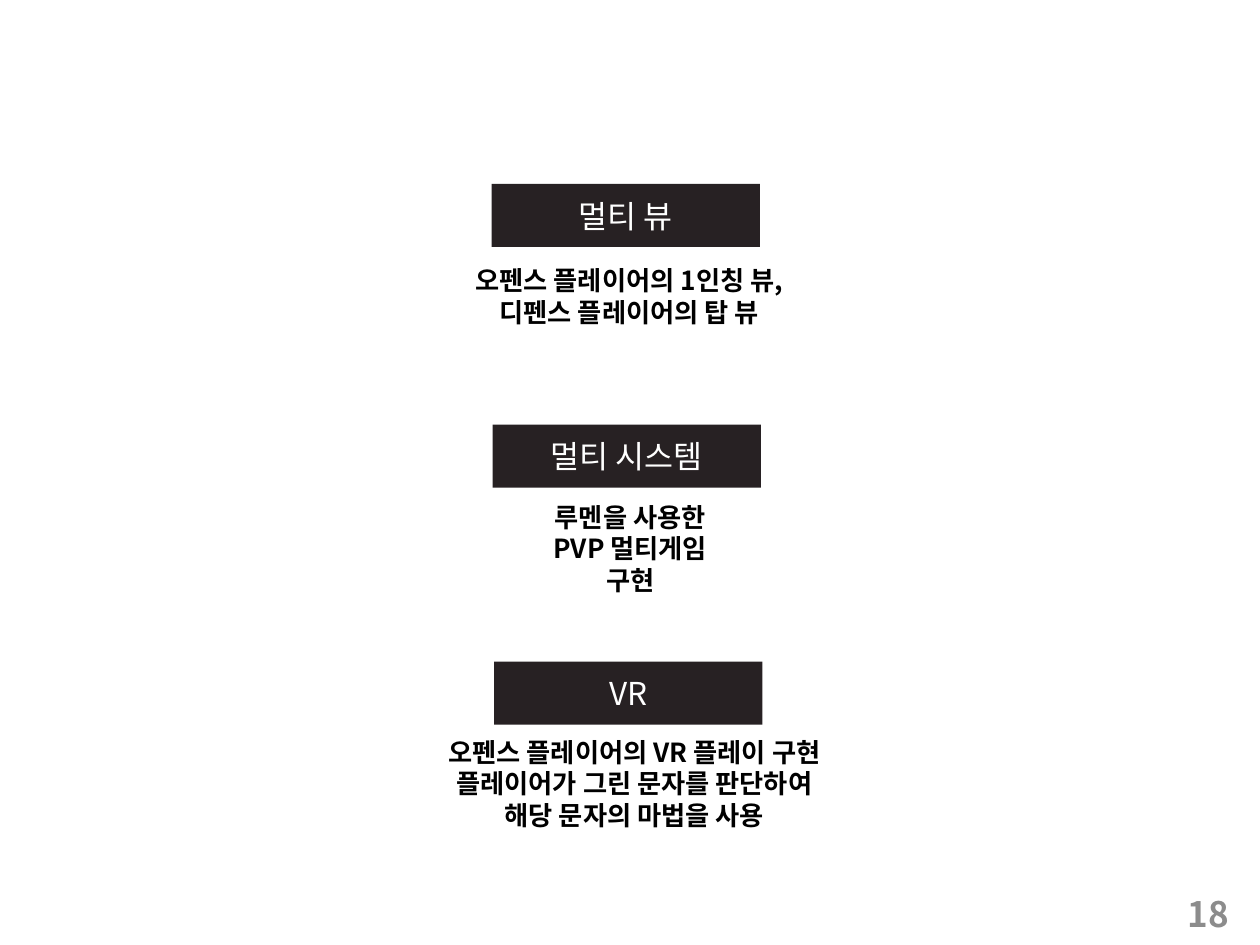
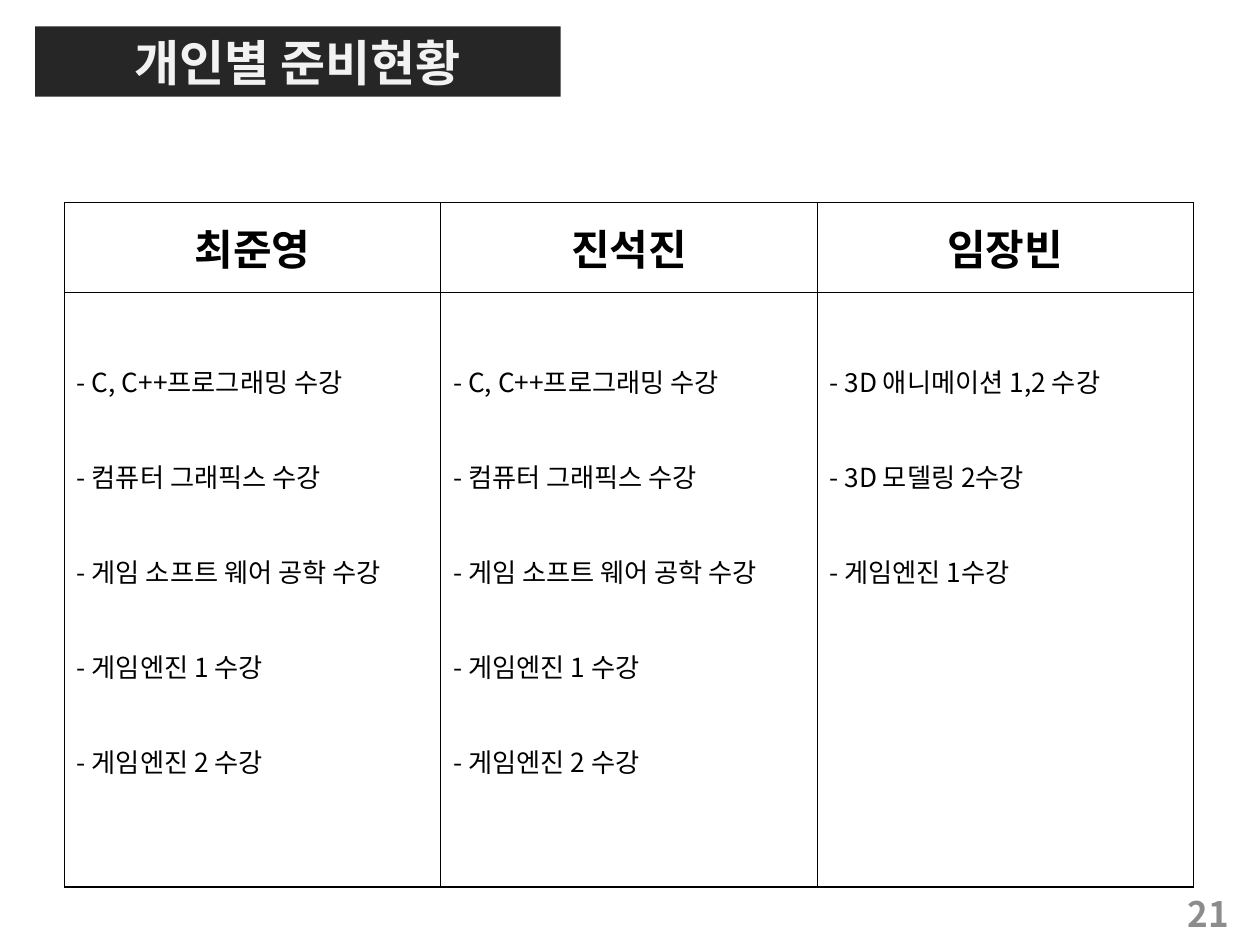
from dataclasses import dataclass

from lxml.etree import SubElement
from pptx import Presentation
from pptx.dml.color import RGBColor as RGB
from pptx.enum.shapes import MSO_SHAPE as SHAPE
from pptx.enum.text import MSO_ANCHOR as ANCHOR, MSO_AUTO_SIZE as AUTO, PP_ALIGN as ALIGN
from pptx.oxml import parse_xml
from pptx.oxml.ns import nsdecls, qn
from pptx.util import Cm, Pt


@dataclass(frozen=True)
class Theme:
    font: str = "Noto Sans CJK KR"
    black: str = "000000"
    white: str = "FFFFFF"
    label_fill: str = "272123"
    title_fill: str = "262626"
    title_text: str = "F2F2F2"
    title_outline: str = "D9D9D9"
    number: str = "8C8C8C"
    title_size: int = 28
    head_size: int = 24
    number_size: int = 20
    label_size: int = 18
    body_size: int = 15


T = Theme()
LABEL_SIZE = Cm(5.41), Cm(1.27)

# label, label (left, top), caption (left, top, width, height), caption lines
FEATURES = [
    ("멀티 뷰", (9.91, 3.71), (9.09, 5.21, 7.19, 1.52),
     ["오펜스 플레이어의 1인칭 뷰,", "디펜스 플레이어의 탑 뷰"]),
    ("멀티 시스템", (9.93, 8.56), (10.29, 9.98, 4.83, 2.13),
     ["루멘을 사용한", "PVP 멀티게임\v구현"]),
    ("VR", (9.96, 13.34), (7.29, 14.71, 11, 2.13),
     ["오펜스 플레이어의 VR 플레이 구현", "플레이어가 그린 문자를 판단하여",
      "해당 문자의 마법을 사용"]),
]

PROGRAMMER_COURSES = [
    "- C, C++프로그래밍 수강", "- 컴퓨터 그래픽스 수강", "- 게임 소프트 웨어 공학 수강",
    "- 게임엔진 1 수강", "- 게임엔진 2 수강",
]
MEMBERS = {
    "최준영": PROGRAMMER_COURSES,
    "진석진": PROGRAMMER_COURSES,
    "임장빈": ["- 3D 애니메이션 1,2 수강", "- 3D 모델링 2수강", "- 게임엔진 1수강"],
}


def add_run(p, text, size, color, bold):
    r = p.add_run()
    r.text = text
    r.font.size, r.font.bold = Pt(size), bold
    r.font.color.rgb = RGB.from_string(color)
    r.font.name = T.font
    SubElement(r.font._element, qn("a:ea"), typeface=T.font)
    return r


def write(tf, lines, size, color, bold=False, align=ALIGN.CENTER, spacing=None):
    """Write one paragraph per line; a vertical tab is a line break."""
    for i, line in enumerate(lines):
        p = tf.add_paragraph() if i else tf.paragraphs[0]
        p.alignment = align
        if spacing:
            p.line_spacing = spacing
        for j, text in enumerate(line.split("\v")):
            if j:
                p.add_line_break()
            add_run(p, text, size, color, bold)


def fill_shape(sp, color):
    sp.fill.solid()
    sp.fill.fore_color.rgb = RGB.from_string(color)


def add_text(shapes, box, lines, size, color, align=ALIGN.CENTER, anchor=ANCHOR.TOP):
    tf = shapes.add_textbox(*map(Cm, box)).text_frame
    tf.word_wrap = True
    tf.vertical_anchor = anchor
    write(tf, lines, size, color, bold=True, align=align)


def add_page_number(slide, number):
    add_text(slide.shapes, (19.1, 17.91, 5.92, 1.02), [str(number)],
             T.number_size, T.number, ALIGN.RIGHT, ANCHOR.MIDDLE)


def add_feature(slide, label, label_at, caption_box, caption):
    shapes = slide.shapes.add_group_shape().shapes
    sp = shapes.add_shape(SHAPE.RECTANGLE, *map(Cm, label_at), *LABEL_SIZE)
    sp.shadow.inherit = False
    sp.line.fill.background()
    fill_shape(sp, T.label_fill)
    sp.text_frame.vertical_anchor = ANCHOR.MIDDLE
    write(sp.text_frame, [label], T.label_size, T.white)
    add_text(shapes, caption_box, caption, T.body_size, T.black)


def set_title(slide, text):
    sp = slide.shapes.title
    sp.left, sp.top, sp.width, sp.height = map(Cm, (0.71, 0.53, 10.59, 1.42))
    fill_shape(sp, T.title_fill)
    tf = sp.text_frame
    tf.auto_size = AUTO.NONE
    tf.vertical_anchor = ANCHOR.MIDDLE
    write(tf, [text], T.title_size, T.title_text, bold=True)
    outline = parse_xml(
        f'<a:ln {nsdecls("a")} w="{Pt(0.75)}"><a:solidFill>'
        f'<a:srgbClr val="{T.title_outline}"><a:alpha val="30000"/></a:srgbClr>'
        '</a:solidFill></a:ln>')
    tf.paragraphs[0].runs[0].font._element.insert(0, outline)


def format_cell(cell):
    """Give the cell equal margins, thin black borders and no fill."""
    cell.margin_left = cell.margin_right = Cm(0.25)
    cell.margin_top = cell.margin_bottom = Cm(0.25)
    tc_pr = cell._tc.get_or_add_tcPr()
    for side in "LRTB":
        ln = SubElement(tc_pr, qn(f"a:ln{side}"), w=str(Pt(0.75)))
        SubElement(SubElement(ln, qn("a:solidFill")), qn("a:srgbClr"), val=T.black)
    cell.fill.background()


def add_member_table(slide, members):
    heights = Cm(1.8), Cm(11.99)
    table = slide.shapes.add_table(2, len(members), Cm(1.3), Cm(4.09),
                                   Cm(22.76), sum(heights)).table
    table.first_row = table.horz_banding = False
    for row, height in zip(table.rows, heights):
        row.height = height
    for col, (name, courses) in enumerate(members.items()):
        head, body = table.cell(0, col), table.cell(1, col)
        format_cell(head)
        format_cell(body)
        head.vertical_anchor = ANCHOR.MIDDLE
        write(head.text_frame, [name], T.head_size, T.black, bold=True)
        write(body.text_frame, courses, T.body_size, T.black, align=ALIGN.LEFT, spacing=2.5)


def main():
    prs = Presentation()
    prs.slide_width, prs.slide_height = Cm(25.4), Cm(19.05)
    title_only, blank = prs.slide_layouts[5], prs.slide_layouts[6]

    features = prs.slides.add_slide(blank)
    for feature in FEATURES:
        add_feature(features, *feature)
    add_page_number(features, 18)

    progress = prs.slides.add_slide(title_only)
    set_title(progress, "개인별 준비현황")
    add_member_table(progress, MEMBERS)
    add_page_number(progress, 21)

    prs.save("out.pptx")


if __name__ == "__main__":
    main()
